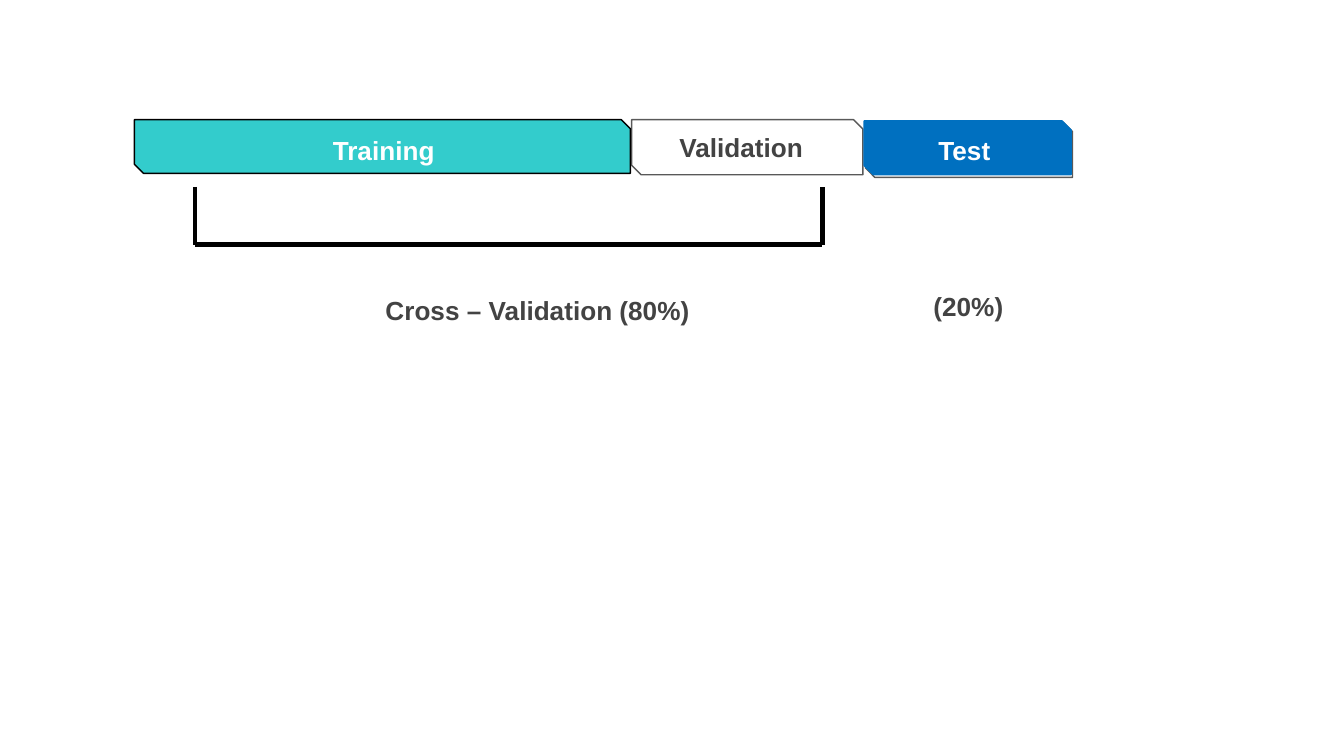
import pptx
import pptx.util
import pptx.dml.color
import pptx.enum.shapes
import pptx.enum.text
import pptx.oxml.ns
from lxml import etree
from pptx.util import Inches

RGBColor = pptx.dml.color.RGBColor
BLACK = RGBColor(0x00, 0x00, 0x00)
WHITE = RGBColor(0xFF, 0xFF, 0xFF)
DARK_GRAY = RGBColor(0x43, 0x43, 0x43)
OUTLINE_GRAY = RGBColor(0x59, 0x59, 0x59)
TURQUOISE = RGBColor(0x33, 0xCC, 0xCC)
BLUE = RGBColor(0x00, 0x70, 0xC0)

CENTER = pptx.enum.text.PP_ALIGN.CENTER
LEFT = pptx.enum.text.PP_ALIGN.LEFT
TOP = pptx.enum.text.MSO_ANCHOR.TOP
BOTTOM = pptx.enum.text.MSO_ANCHOR.BOTTOM

BARS = [
    ((4.7, 0.89, 1.72, 0.41), None, OUTLINE_GRAY),
    ((1, 0.89, 3.69, 0.4), TURQUOISE, BLACK),
    ((6.44, 0.91, 1.54, 0.41), None, OUTLINE_GRAY),
    ((6.43, 0.9, 1.54, 0.4), BLUE, BLUE),
]
BAR_LABELS = [
    ("Validation", (4.72, 0.91, 1.59, 0.4), DARK_GRAY),
    ("Training", (1.03, 0.91, 3.65, 0.42), WHITE),
    ("Test", (6.38, 0.93, 1.59, 0.4), WHITE),
]
CAPTIONS = [
    ("Cross – Validation (80%)", (2.77, 2.14, 2.93, 0.34), LEFT),
    ("(20%)", (5.74, 2.11, 2.93, 0.34), CENTER),
]
BRACKET = [(1.45, 1.39), (1.45, 1.82), (6.12, 1.82), (6.12, 1.39)]


def add_bar(page, place, fill, outline):
    bar = page.shapes.add_shape(
        pptx.enum.shapes.MSO_SHAPE.SNIP_2_DIAG_RECTANGLE, *map(Inches, place))
    bar.shadow.inherit = False
    bar.adjustments[0] = 0
    bar.adjustments[1] = 0.17
    if fill is None:
        bar.fill.background()
    else:
        bar.fill.solid()
        bar.fill.fore_color.rgb = fill
    bar.line.color.rgb = outline
    bar.line.width = pptx.util.Pt(0.75)


def add_text(page, text, place, color, align, anchor, inset):
    box = page.shapes.add_textbox(*map(Inches, place))
    frame = box.text_frame
    frame.word_wrap = True
    frame.vertical_anchor = anchor
    frame.margin_left = frame.margin_right = Inches(0.1)
    frame.margin_top = frame.margin_bottom = Inches(inset)
    para = frame.paragraphs[0]
    para.text = text
    para.alignment = align
    para.font.name = "Arial"
    para.font.size = pptx.util.Pt(14)
    para.font.bold = True
    para.font.color.rgb = color
    return box


def add_line(page, start, end):
    line = page.shapes.add_connector(
        pptx.enum.shapes.MSO_CONNECTOR.STRAIGHT, *map(Inches, start + end))
    line.line.color.rgb = BLACK
    line.line.width = pptx.util.Pt(2.25)
    etree.SubElement(line._element.spPr, pptx.oxml.ns.qn("a:effectLst"))


deck = pptx.Presentation()
deck.slide_width = Inches(10)
deck.slide_height = deck.slide_width * 9 // 16
page = deck.slides.add_slide(deck.slide_layouts[6])

for place, fill, outline in BARS:
    add_bar(page, place, fill, outline)
for text, place, color in BAR_LABELS:
    add_text(page, text, place, color, CENTER, BOTTOM, 0.1)
for start, end in zip(BRACKET, BRACKET[1:]):
    add_line(page, start, end)
for text, place, align in CAPTIONS:
    caption = add_text(page, text, place, DARK_GRAY, align, TOP, 0.05)
    caption.text_frame.auto_size = pptx.enum.text.MSO_AUTO_SIZE.SHAPE_TO_FIT_TEXT

deck.save("out.pptx")
